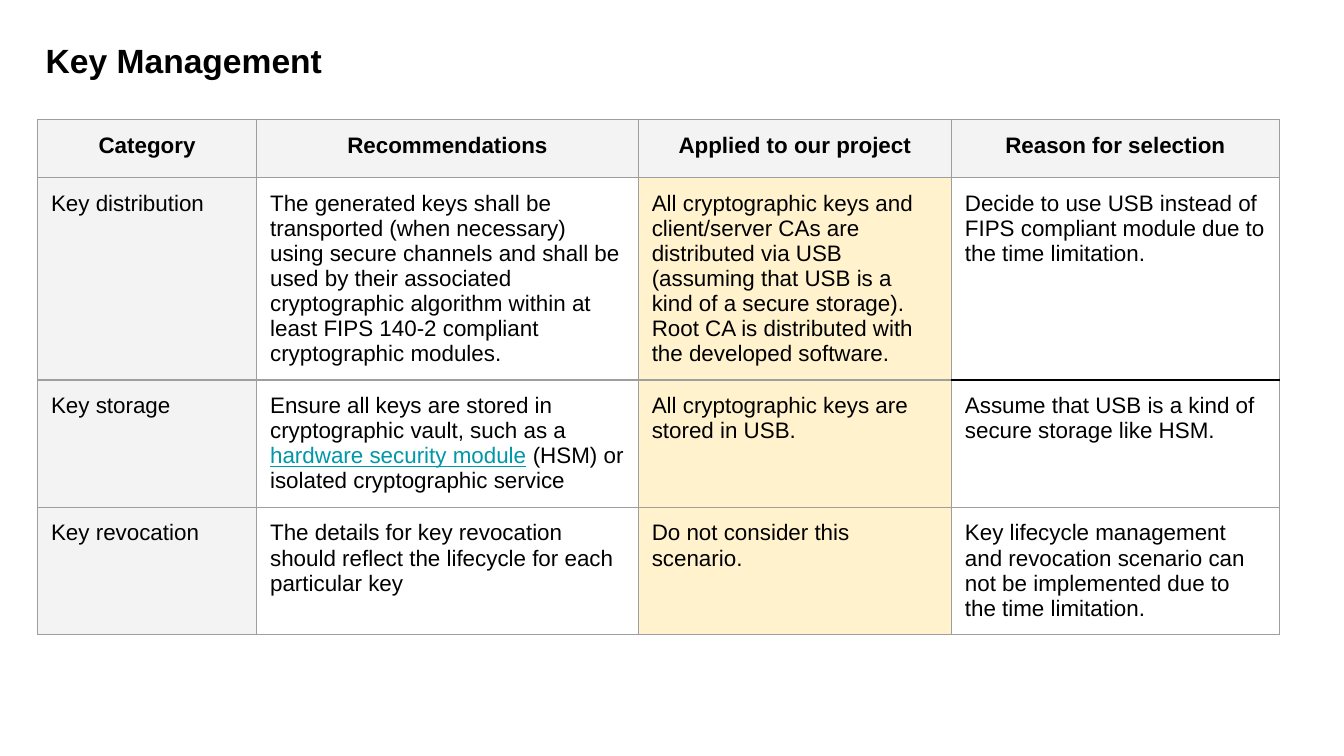
from lxml import etree
from pptx import Presentation
from pptx import util as u
from pptx.dml.color import RGBColor
from pptx.enum import text
from pptx.oxml.ns import qn

TITLE = "Key Management"
HEAD = ["Category", "Recommendations", "Applied to our project", "Reason for selection"]
BODY = [
    ["Key distribution",
     "The generated keys shall be transported (when necessary) using secure channels "
     "and shall be used by their associated cryptographic algorithm within at least "
     "FIPS 140-2 compliant cryptographic modules.",
     "All cryptographic keys and client/server CAs are distributed via USB (assuming "
     "that USB is a kind of a secure storage). Root CA is distributed with the "
     "developed software.",
     "Decide to use USB instead of FIPS compliant module due to the time limitation."],
    ["Key storage",
     "Ensure all keys are stored in cryptographic vault, such as a hardware security "
     "module (HSM) or isolated cryptographic service",
     "All cryptographic keys are stored in USB.",
     "Assume that USB is a kind of secure storage like HSM."],
    ["Key revocation",
     "The details for key revocation should reflect the lifecycle for each particular key",
     "Do not consider this scenario.",
     "Key lifecycle management and revocation scenario can not be implemented due to "
     "the time limitation."],
]
LINK = "hardware security module"
WIDE = 10
HIGH = WIDE * 9 / 16
COLS = [1.63, 2.84, 2.33, 2.44]
ROWS = [0.43, 1.5, 0.94, 0.94]
LEFT, TOP, PAD = 0.28, 0.89, 0.1
DARK = {(1, 3): "B", (2, 3): "T"}
THEME = dict(font="Arial", ink="000000", link="0097A7", line="9E9E9E",
             grey="F3F3F3", gold="FFF2CC", title=18, body=12, rule=0.75)


def style(run, size, bold=False, color="ink"):
    run.font.name = THEME["font"]
    run.font.size = u.Pt(THEME[size])
    run.font.bold = bold
    run.font.color.rgb = RGBColor.from_string(THEME[color])


def pad(box):
    for side in ("left", "top", "right", "bottom"):
        setattr(box, "margin_" + side, u.Inches(PAD))


def border(cell, dark):
    props = cell._tc.get_or_add_tcPr()
    for side in "LRTB":
        line = etree.SubElement(props, qn("a:ln" + side), w=str(u.Pt(THEME["rule"])))
        fill = etree.SubElement(line, qn("a:solidFill"))
        tone = THEME["ink" if side == dark else "line"]
        etree.SubElement(fill, qn("a:srgbClr"), val=tone)


def shade(cell, row, col):
    tone = "grey" if row == 0 or col == 0 else "gold" if col == 2 else None
    if tone:
        cell.fill.solid()
        cell.fill.fore_color.rgb = RGBColor.from_string(THEME[tone])
    else:
        cell.fill.background()


def write(cell, words, head):
    para = cell.text_frame.paragraphs[0]
    para.alignment = text.PP_ALIGN.CENTER if head else text.PP_ALIGN.LEFT
    for part in filter(None, words.partition(LINK)):
        run = para.add_run()
        run.text = part
        style(run, "body", head, "link" if part == LINK else "ink")
        if part == LINK:
            run.font.underline = True


def main():
    deck = Presentation()
    deck.slide_width, deck.slide_height = u.Inches(WIDE), u.Inches(HIGH)
    slide = deck.slides.add_slide(deck.slide_layouts[5])

    title = slide.shapes.title
    title.left, title.top, title.width, title.height = map(u.Inches, (0.24, 0.2, 7.92, 0.5))
    frame = title.text_frame
    frame.text = TITLE
    frame.word_wrap = True
    frame.auto_size = text.MSO_AUTO_SIZE.NONE
    frame.vertical_anchor = text.MSO_ANCHOR.MIDDLE
    pad(frame)
    frame.paragraphs[0].alignment = text.PP_ALIGN.LEFT
    style(frame.paragraphs[0].runs[0], "title", True)

    place = map(u.Inches, (LEFT, TOP, sum(COLS), sum(ROWS)))
    table = slide.shapes.add_table(len(ROWS), len(COLS), *place).table
    table.first_row = table.horz_banding = False
    for col, width in zip(table.columns, COLS):
        col.width = u.Inches(width)
    for row, height in zip(table.rows, ROWS):
        row.height = u.Inches(height)
    for r, line in enumerate([HEAD] + BODY):
        for c, words in enumerate(line):
            cell = table.cell(r, c)
            pad(cell)
            border(cell, DARK.get((r, c)))
            shade(cell, r, c)
            write(cell, words, r == 0)

    deck.save("out.pptx")


if __name__ == "__main__":
    main()
